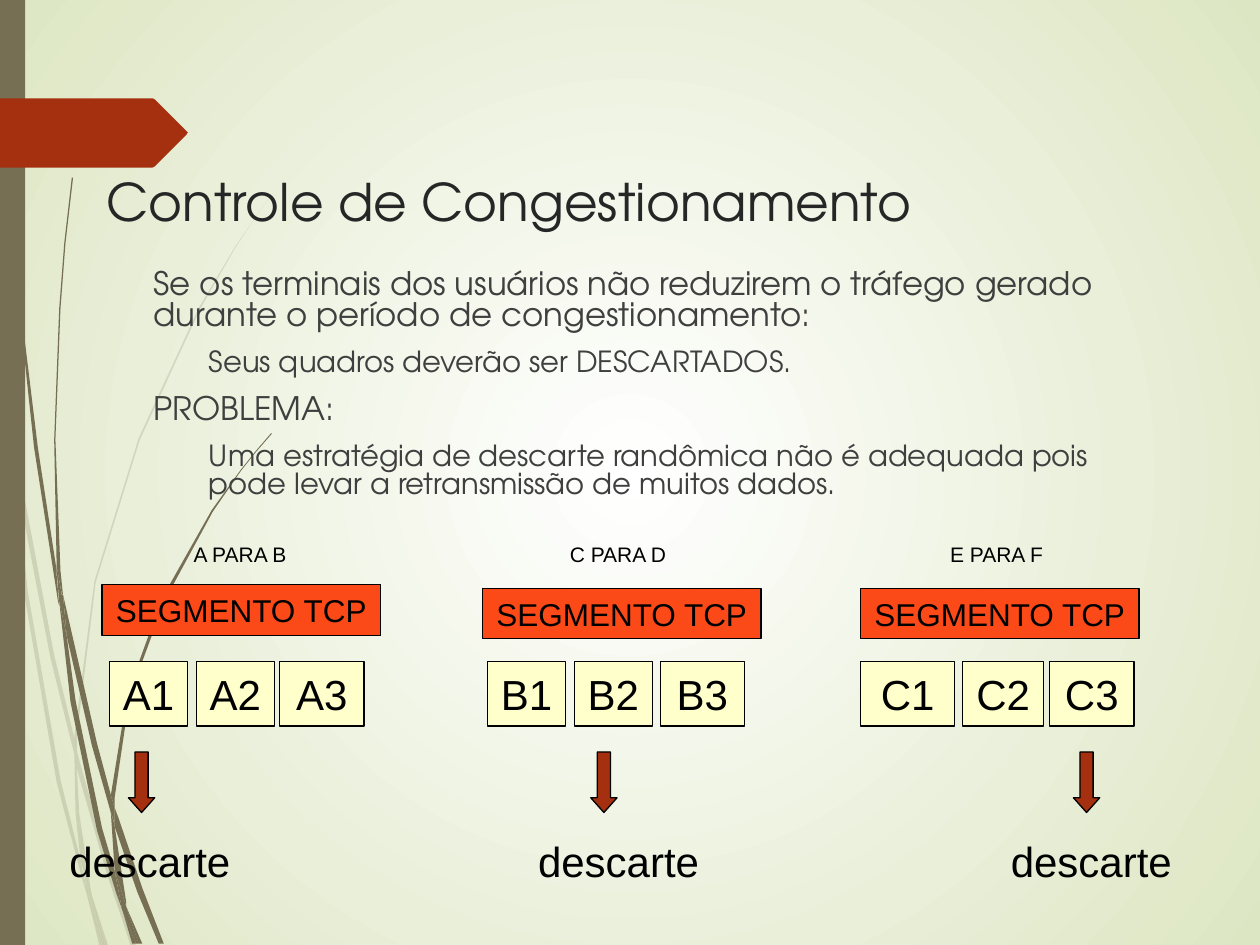
"""Build the slide on congestion control and discarded segments."""
from lxml.etree import SubElement
from pptx import Presentation
from pptx.dml.color import RGBColor
from pptx.enum.shapes import MSO_SHAPE as SHAPE
from pptx.enum.text import MSO_ANCHOR as ANCHOR, PP_ALIGN as ALIGN
from pptx.oxml.ns import qn
from pptx.util import Cm, Pt

WHITE = RGBColor(0xFF, 0xFF, 0xFF)
PALE_GREEN = RGBColor(0xDD, 0xE6, 0xC3)
TAUPE = RGBColor(0x76, 0x6F, 0x54)
RUST = RGBColor(0xA5, 0x30, 0x10)
ORANGE = RGBColor(0xFB, 0x4A, 0x18)
CREAM = RGBColor(0xFF, 0xFF, 0xCC)
BLACK = RGBColor(0, 0, 0)
TITLE_GREY = RGBColor(0x26, 0x26, 0x26)
BODY_GREY = RGBColor(0x3F, 0x3F, 0x3F)
DISPLAY, PLAIN = "TeX Gyre Adventor", "Arial"
OUTLINE_UNIT = Cm(2.54) / 100

FAINT_GRASS = [
    [(8, 350), (6, 322), (0, 282), (0, 299), (7, 344)],
    [(40, 522), (59, 599), (59, 586), (43, 520), (10, 345), (12, 376)],
    [(64, 607), (61, 596), (61, 610), (85, 694), (104, 751), (108, 751), (88, 691)],
    [(83, 751), (86, 751), (73, 711)],
    [(64, 683), (48, 619), (22, 469), (12, 376), (8, 350), (19, 470), (45, 621),
     (64, 693), (70, 714), (69, 707)],
    [(59, 599), (60, 646), (64, 683), (67, 692), (73, 711), (72, 706), (63, 646),
     (61, 610), (61, 608)],
    [(61, 584), (76, 462), (111, 349), (159, 245), (186, 198), (201, 175), (217, 153),
     (201, 175), (186, 197), (158, 244), (110, 348), (75, 461), (59, 584), (59, 586),
     (61, 596)],
    [(70, 714), (79, 751), (82, 751)],
    [(61, 608), (61, 610), (61, 596), (59, 586), (59, 599)],
    [(67, 692), (65, 683), (69, 707), (70, 714), (82, 751), (83, 751), (73, 711)],
]
DARK_GRASS = [
    [(5, 110), (14, 233), (27, 355), (46, 477), (47, 481), (45, 457), (45, 453),
     (30, 355), (15, 232), (6, 109), (4, 48), (3, 0), (2, 0), (3, 48)],
    [(73, 592), (88, 645), (88, 633), (88, 631), (77, 590), (50, 472), (53, 505)],
    [(94, 649), (91, 641), (91, 656), (109, 708), (126, 749), (130, 749), (113, 705)],
    [(91, 691), (81, 657), (60, 556), (53, 505), (47, 477), (56, 557), (77, 659),
     (92, 708), (97, 722), (96, 717)],
    [(50, 472), (48, 453), (44, 349), (48, 245), (52, 193), (58, 141), (57, 141),
     (51, 193), (47, 245), (43, 349), (45, 449), (49, 471)],
    [(110, 749), (113, 749), (100, 719)],
    [(47, 477), (53, 505), (50, 472), (49, 472), (45, 449), (45, 453)],
    [(91, 633), (103, 552), (131, 476), (169, 406), (191, 374), (203, 359), (216, 344),
     (215, 344), (203, 358), (191, 373), (168, 405), (129, 474), (101, 551), (88, 631),
     (91, 641)],
    [(97, 722), (105, 749), (108, 749)],
    [(88, 645), (91, 691), (96, 706), (100, 719), (100, 715), (91, 656), (90, 651)],
    [(88, 645), (90, 650), (91, 656), (91, 641), (88, 631), (88, 633)],
    [(96, 706), (91, 691), (96, 717), (97, 722), (108, 749), (110, 749), (100, 719)],
]
TAB = [(148, 107), (123, 132), (121, 133), (0, 133), (0, 78), (121, 78), (123, 79),
       (148, 104), (149, 105)]

BODY = [
    (0, "Se os terminais dos usuários não reduzirem o tráfego gerado durante o período "
        "de congestionamento:"),
    (1, "Seus quadros deverão ser DESCARTADOS."),
    (0, "PROBLEMA:"),
    (1, "Uma estratégia de descarte randômica não é adequada pois pode levar a "
        "retransmissão de muitos dados."),
]
BODY_SIZES, BODY_INDENTS = (18.5, 16.6), (0.95, 2.06)

FLOWS = [
    {"route": "A PARA B", "route_x": 3.59, "segment": (2.06, 11.79),
     "frames": [("A1", 2.21, 1.57), ("A2", 3.96, 1.57), ("A3", 5.64, 1.7)],
     "arrow_x": 2.59, "discard_x": 1.14},
    {"route": "C PARA D", "route_x": 11.21, "segment": (9.73, 11.86),
     "frames": [("B1", 9.83, 1.57), ("B2", 11.58, 1.57), ("B3", 13.31, 1.7)],
     "arrow_x": 11.91, "discard_x": 10.59},
    {"route": "E PARA F", "route_x": 18.84, "segment": (17.35, 11.86),
     "frames": [("C1", 17.35, 1.9), ("C2", 19.41, 1.63), ("C3", 21.16, 1.7)],
     "arrow_x": 21.64, "discard_x": 20.12},
]


class Painter:
    def __init__(self, s):
        self.s = s
        self.line_width = Pt(0.75)

    def background(self, inner, outer):
        fill = self.s.background.fill
        fill.gradient()
        for stop, color, position in zip(fill.gradient_stops, (inner, outer), (0, 1)):
            stop.color.rgb = color
            stop.position = position
        grad = self.s.background._cSld.find(".//" + qn("a:gradFill"))
        grad.remove(grad.find(qn("a:lin")))
        circle = SubElement(grad, qn("a:path"), {"path": "circle"})
        SubElement(circle, qn("a:fillToRect"), dict.fromkeys("ltrb", "49000"))

    def paint(self, sp, color, line=None):
        sp.shadow.inherit = False
        sp.fill.solid()
        sp.fill.fore_color.rgb = color
        if line is None:
            sp.line.fill.background()
        else:
            sp.line.color.rgb = line
            sp.line.width = self.line_width

    def outline(self, shapes, points, color, alpha=None):
        builder = shapes.build_freeform(*points[0], scale=OUTLINE_UNIT)
        builder.add_line_segments(points[1:], close=True)
        sp = builder.convert_to_shape()
        self.paint(sp, color)
        if alpha is not None:
            rgb = sp._element.spPr.find(qn("a:solidFill")).find(qn("a:srgbClr"))
            SubElement(rgb, qn("a:alpha"), {"val": str(alpha * 1000)})

    def grass(self, blades, alpha=None):
        group = self.s.shapes.add_group_shape()
        for points in blades:
            self.outline(group.shapes, points, TAUPE, alpha)

    def shape(self, kind, x, y, w, h, color, line=None):
        sp = self.s.shapes.add_shape(kind, Cm(x), Cm(y), Cm(w), Cm(h))
        self.paint(sp, color, line)
        return sp

    def run(self, p, text, size, font, color):
        r = p.add_run()
        r.text = text
        r.font.size = Pt(size)
        r.font.name = font
        r.font.color.rgb = color

    def caption(self, sp, text, size):
        tf = sp.text_frame
        tf.word_wrap = False
        p = tf.paragraphs[0]
        p.alignment = ALIGN.CENTER
        self.run(p, text, size, PLAIN, BLACK)

    def box(self, text, x, y, w, h, size, color):
        sp = self.shape(SHAPE.RECTANGLE, x, y, w, h, color, BLACK)
        sp.text_frame.vertical_anchor = ANCHOR.MIDDLE
        self.caption(sp, text, size)

    def label(self, text, x, y, w, h, size):
        sp = self.s.shapes.add_textbox(Cm(x), Cm(y), Cm(w), Cm(h))
        self.caption(sp, text, size)

    def arrow(self, x, y, w, h):
        sp = self.shape(SHAPE.DOWN_ARROW, x, y, w, h, RUST, BLACK)
        sp.adjustments[1] = 0.56

    def prose(self, x, y, w, h):
        tf = self.s.shapes.add_textbox(Cm(x), Cm(y), Cm(w), Cm(h)).text_frame
        tf.word_wrap = True
        return tf

    def title(self, text, x, y, w, h):
        p = self.prose(x, y, w, h).paragraphs[0]
        p.line_spacing = 0.8
        self.run(p, text, 29.6, DISPLAY, TITLE_GREY)

    def body(self, items, x, y, w, h):
        tf = self.prose(x, y, w, h)
        for i, (level, text) in enumerate(items):
            p = tf.add_paragraph() if i else tf.paragraphs[0]
            p.level = level
            p.line_spacing = 0.8
            p.space_before = Pt(10 if i else 0)
            pPr = p._p.get_or_add_pPr()
            pPr.set("marL", str(Cm(BODY_INDENTS[level])))
            pPr.set("indent", "0")
            self.run(p, text, BODY_SIZES[level], DISPLAY, BODY_GREY)


def main():
    prs = Presentation()
    prs.slide_width, prs.slide_height = Cm(25.4), Cm(19.05)
    painter = Painter(prs.slides.add_slide(prs.slide_layouts[6]))
    painter.background(WHITE, PALE_GREEN)
    painter.grass(FAINT_GRASS, alpha=20)
    painter.grass(DARK_GRASS)
    painter.shape(SHAPE.RECTANGLE, 0, 0, 0.51, 19.05, TAUPE)
    painter.outline(painter.s.shapes, TAB, RUST)
    painter.title("Controle de Congestionamento", 1.9, 3.53, 21.56, 1.4)
    painter.body(BODY, 1.9, 5.33, 21.56, 5)
    for flow in FLOWS:
        painter.box("SEGMENTO TCP", *flow["segment"], 5.61, 1.02, 18, ORANGE)
        painter.label(flow["route"], flow["route_x"], 10.8, 2.5, 0.76, 12)
        for name, x, w in flow["frames"]:
            painter.box(name, x, 13.34, w, 1.3, 24, CREAM)
        painter.arrow(flow["arrow_x"], 15.16, 0.53, 1.22)
        painter.label("descarte", flow["discard_x"], 16.71, 3.76, 1.27, 24)
    prs.save("out.pptx")


if __name__ == "__main__":
    main()
